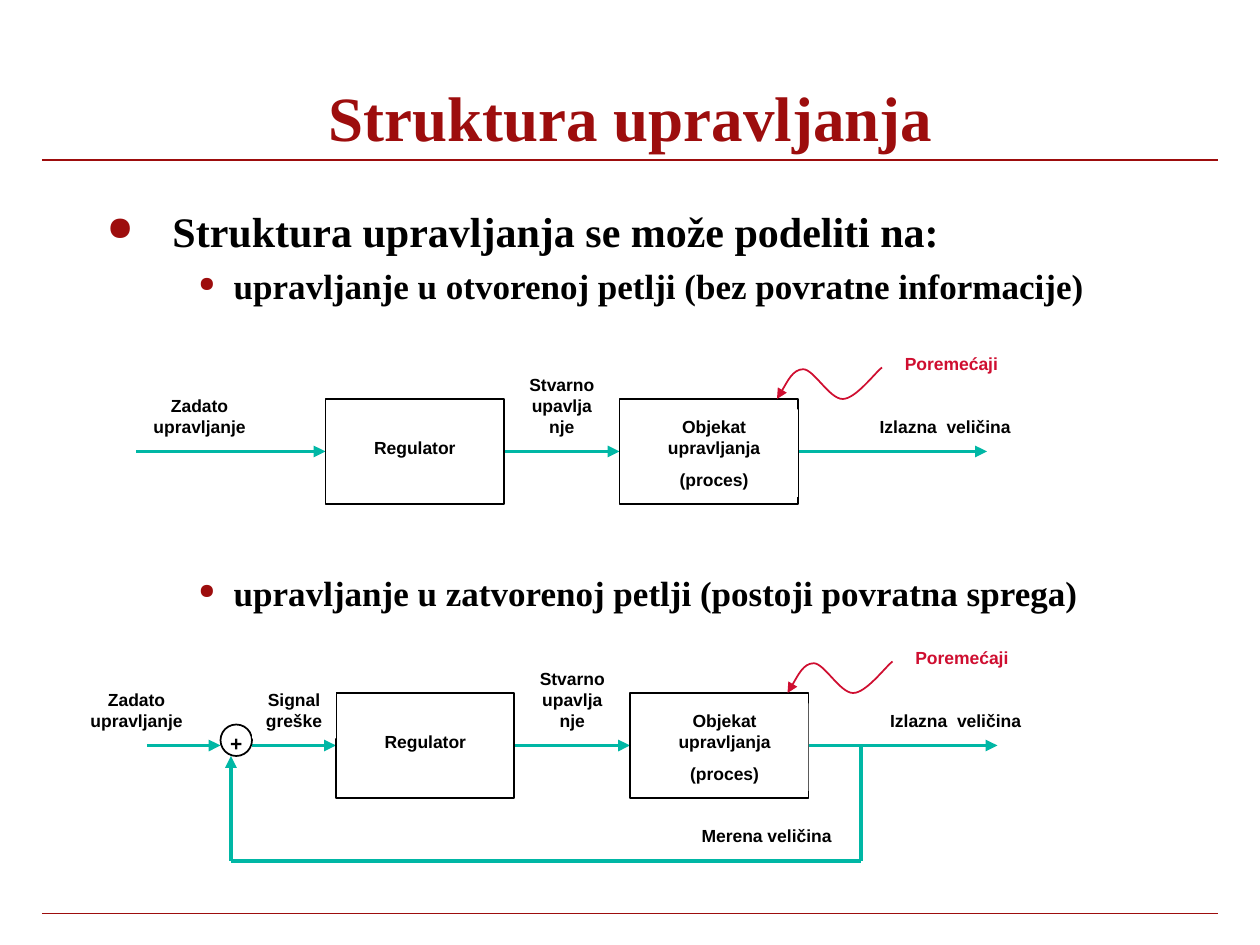
from lxml.etree import SubElement
from pptx import Presentation
from pptx.dml.color import RGBColor
from pptx.enum.shapes import MSO_CONNECTOR, MSO_SHAPE
from pptx.enum.text import MSO_ANCHOR, PP_ALIGN
from pptx.oxml.ns import qn
from pptx.util import Pt

RED, CRIMSON, TEAL, BLACK, WHITE = "9D0D0D", "CF0E30", "00B7A5", "000000", "FFFFFF"
SERIF = {"name": "Times New Roman", "bold": True}
SANS = {"name": "Arial", "bold": True}

TITLE = "Struktura upravljanja"
# text, level, size, space before, left margin, hanging indent, bullet percent
BULLETS = [
    ("Struktura upravljanja se može podeliti na:", 0, 24, 6, 37.5, 37.5, 80),
    ("upravljanje u otvorenoj petlji (bez povratne informacije)", 1, 20, 5, 72.5, 20, 60),
    ("upravljanje u zatvorenoj petlji (postoji povratna sprega)", 1, 20, 151, 72.5, 20, 60),
]

# All diagram places are relative to the corner of the regulator box.
BOXES = [(0, 0, 102, 60), (168, 0, 102, 60)]
COMMON_ARROWS = [(102, 30, 168, 30), (270, 30, 378, 30)]
COMMON_LABELS = [
    (["Regulator"], 6, 18, 90, 19.4),
    (["Objekat upravljanja", "(proces)"], 174, 6, 96, 50),
    (["Izlazna  veličina"], 306, 6, 96, 19.4),
    (["Stvarno upavljanje"], 108, -18, 54, 43),
]
DISTURBANCE = ("Poremećaji", 324, -30, 78, 19.4)
# Start point, then three Bezier points per curve
WAVE = [(258, 0), (260, -3), (267, -17), (273, -17), (279, -17), (288, 0),
        (295.5, 0), (303, 0), (314, -15), (318, -18)]

DIAGRAMS = [
    {   # open loop
        "origin": (186, 228),
        "arrows": [(-108, 30, 0, 30)],
        "labels": [(["Zadato upravljanje"], -114, -6, 84, 32)],
    },
    {   # closed loop
        "origin": (192, 396),
        "arrows": [(-108, 30, -66, 30), (-48, 30, 0, 30)],
        "labels": [
            (["Zadato upravljanje"], -156, -6, 84, 32),
            (["Signal greške"], -48, -6, 48, 32),
            (["Merena veličina"], 198, 72, 96, 19.4),
        ],
        "sum": (["+"], -78, 18, 42, 21.6),
        "circle": (-66, 18, 18, 18),
        # segment and its arrowhead
        "feedback": [((-60, 96, 300, 96), None), ((300, 30, 300, 96), None),
                     ((-60, 36, -60, 96), "headEnd")],
    },
]


def rgb(value):
    return RGBColor.from_string(value)


def set_line(s, color, width, arrow=None):
    s.line.color.rgb = rgb(color)
    s.line.width = Pt(width)
    if arrow:
        SubElement(s.line._get_or_add_ln(), qn("a:" + arrow), type="triangle")


def add_line(shapes, ends, color, width, arrow=None):
    s = shapes.add_connector(MSO_CONNECTOR.STRAIGHT, *map(Pt, ends))
    set_line(s, color, width, arrow)
    SubElement(s._element.spPr, qn("a:effectLst"))


def add_outline(shapes, kind, place, fill=None):
    s = shapes.add_shape(kind, *map(Pt, place))
    s.shadow.inherit = False
    if fill:
        s.fill.solid()
        s.fill.fore_color.rgb = rgb(fill)
    else:
        s.fill.background()
    set_line(s, BLACK, 1)


def write(p, text, size, color, font):
    r = p.add_run()
    r.text = text
    for name, value in {**font, "size": Pt(size)}.items():
        setattr(r.font, name, value)
    r.font.color.rgb = rgb(color)


def add_label(shapes, place, lines, size=10, color=BLACK, align=PP_ALIGN.CENTER):
    s = shapes.add_textbox(*map(Pt, place))
    s.fill.solid()
    s.fill.fore_color.rgb = rgb(WHITE)
    tf = s.text_frame
    tf.word_wrap = True
    tf.margin_left = tf.margin_right = Pt(7.2)
    for i, text in enumerate(lines):
        p = tf.add_paragraph() if i else tf.paragraphs[0]
        p.alignment = align
        p.space_before = Pt(size * 0.62)
        write(p, text, size, color, SANS)


def add_wave(shapes, points):
    points = [(Pt(x), Pt(y)) for x, y in points]
    builder = shapes.build_freeform(*points[0])
    builder.add_line_segments(points[1:], close=False)
    s = builder.convert_to_shape()
    s.shadow.inherit = False
    s.fill.background()
    set_line(s, CRIMSON, 1, "headEnd")
    # Turn each three straight segments into one Bezier curve
    path = s._element.find(".//" + qn("a:path"))
    segments = path.findall(qn("a:lnTo"))
    for i in range(0, len(segments), 3):
        curve = SubElement(path, qn("a:cubicBezTo"))
        for segment in segments[i:i + 3]:
            curve.append(segment[0])
            path.remove(segment)


def add_diagram(shapes, d):
    ox, oy = d["origin"]

    def box(x, y, w, h):
        return x + ox, y + oy, w, h

    def ends(x1, y1, x2, y2):
        return x1 + ox, y1 + oy, x2 + ox, y2 + oy

    if "sum" in d:
        lines, *place = d["sum"]
        add_label(shapes, box(*place), lines, 12)
    for arrow in COMMON_ARROWS + d["arrows"]:
        add_line(shapes, ends(*arrow), TEAL, 2.25, "tailEnd")
    for place in BOXES:
        add_outline(shapes, MSO_SHAPE.RECTANGLE, box(*place), WHITE)
    for segment, arrow in d.get("feedback", []):
        add_line(shapes, ends(*segment), TEAL, 2.25, arrow)
    if "circle" in d:
        add_outline(shapes, MSO_SHAPE.OVAL, box(*d["circle"]))
    for lines, *place in COMMON_LABELS + d["labels"]:
        add_label(shapes, box(*place), lines)
    add_wave(shapes, [(x + ox, y + oy) for x, y in WAVE])
    text, *place = DISTURBANCE
    add_label(shapes, box(*place), [text], color=CRIMSON, align=PP_ALIGN.LEFT)


prs = Presentation()
prs.slide_width, prs.slide_height = Pt(720), Pt(540)
slide = prs.slides.add_slide(prs.slide_layouts[6])

# Rules under the title and at the foot
for y in (91.5, 522):
    add_line(slide.shapes, (24, y, 696, y), RED, 1)

# Title
tf = slide.shapes.add_textbox(Pt(91.5), Pt(33), Pt(537.5), Pt(58.5)).text_frame
tf.word_wrap = True
tf.vertical_anchor = MSO_ANCHOR.BOTTOM
p = tf.paragraphs[0]
p.alignment = PP_ALIGN.CENTER
p.line_spacing = 0.8
write(p, TITLE, 36, RED, SERIF)

# Bullets
tf = slide.shapes.add_textbox(Pt(54), Pt(114), Pt(612), Pt(240)).text_frame
tf.word_wrap = True
for i, (text, level, size, before, margin, hang, percent) in enumerate(BULLETS):
    p = tf.add_paragraph() if i else tf.paragraphs[0]
    p.level = level
    p.space_before = Pt(before)
    pPr = p._p.get_or_add_pPr()
    pPr.set("marL", str(Pt(margin)))
    pPr.set("indent", str(-Pt(hang)))
    SubElement(SubElement(pPr, qn("a:buClr")), qn("a:srgbClr"), val=RED)
    SubElement(pPr, qn("a:buSzPct"), val=str(percent * 1000))
    SubElement(pPr, qn("a:buChar"), char="●")
    write(p, text, size, BLACK, SERIF)

# Control loops
for d in DIAGRAMS:
    add_diagram(slide.shapes.add_group_shape().shapes, d)

prs.save("out.pptx")
